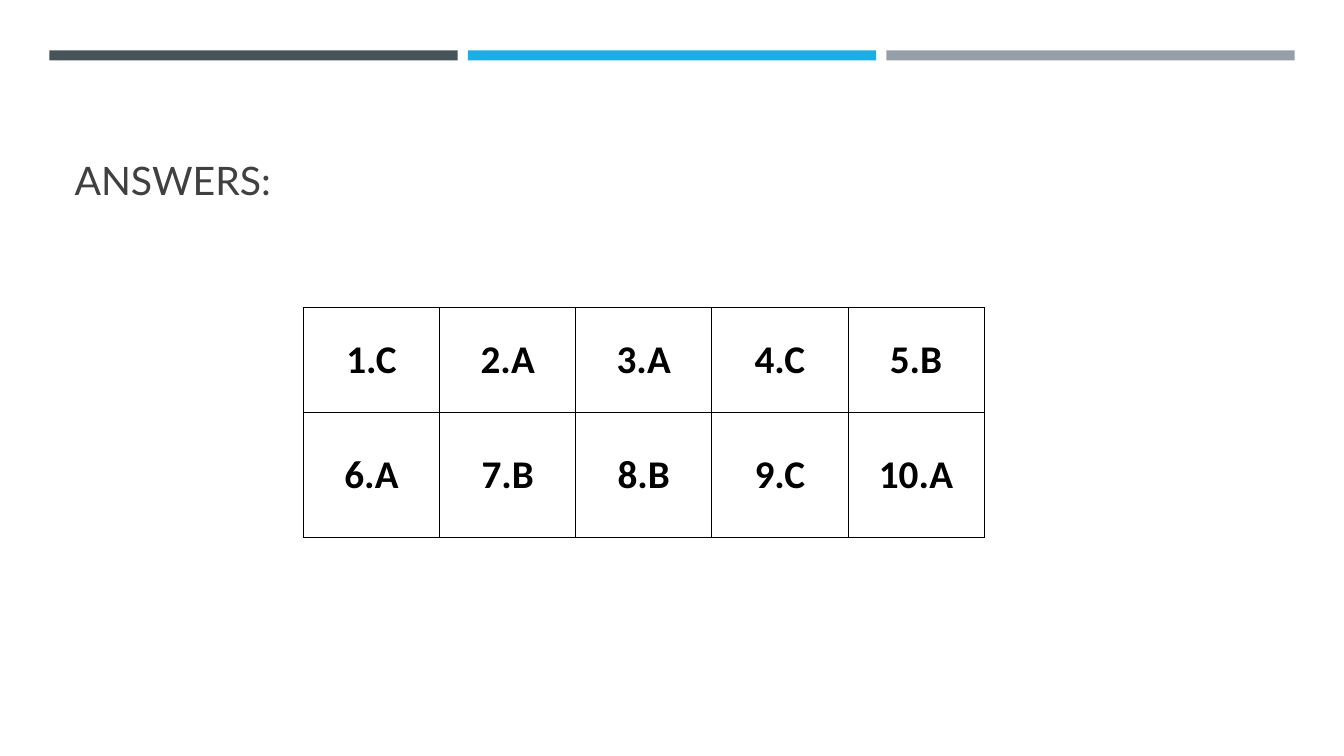
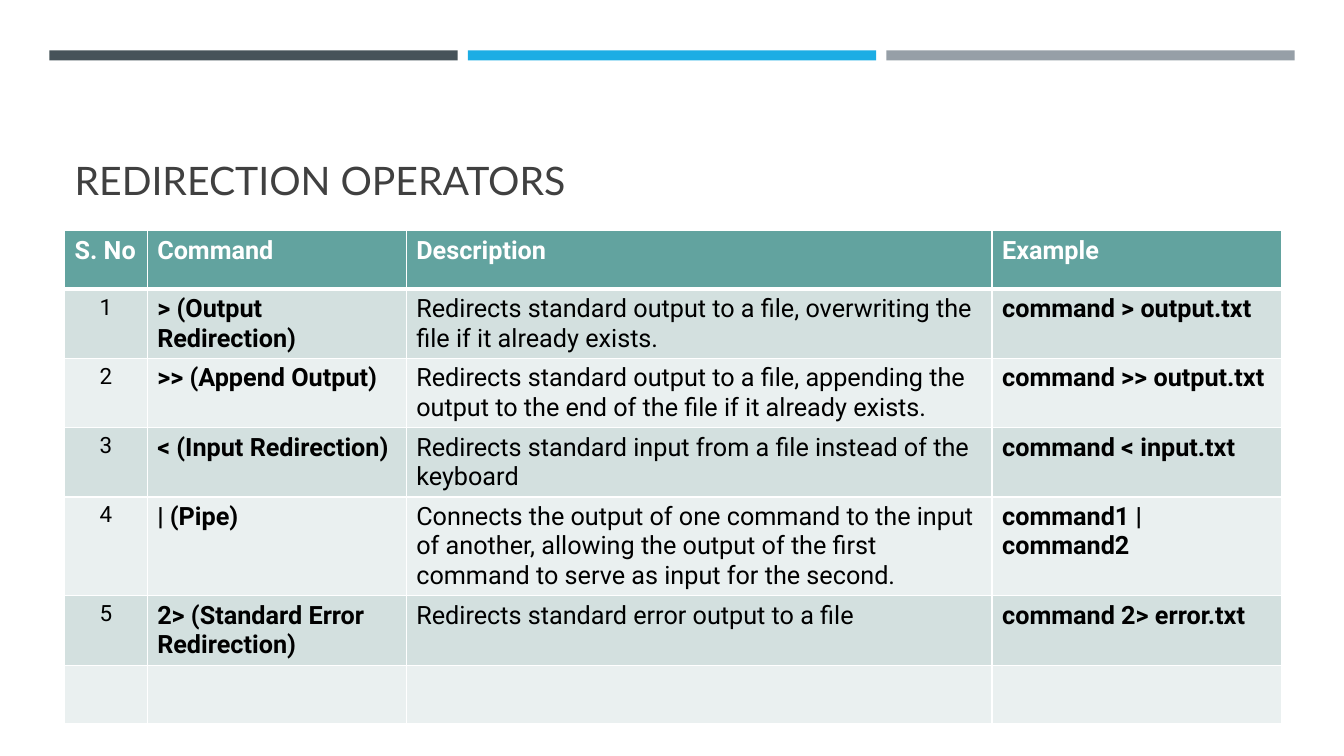
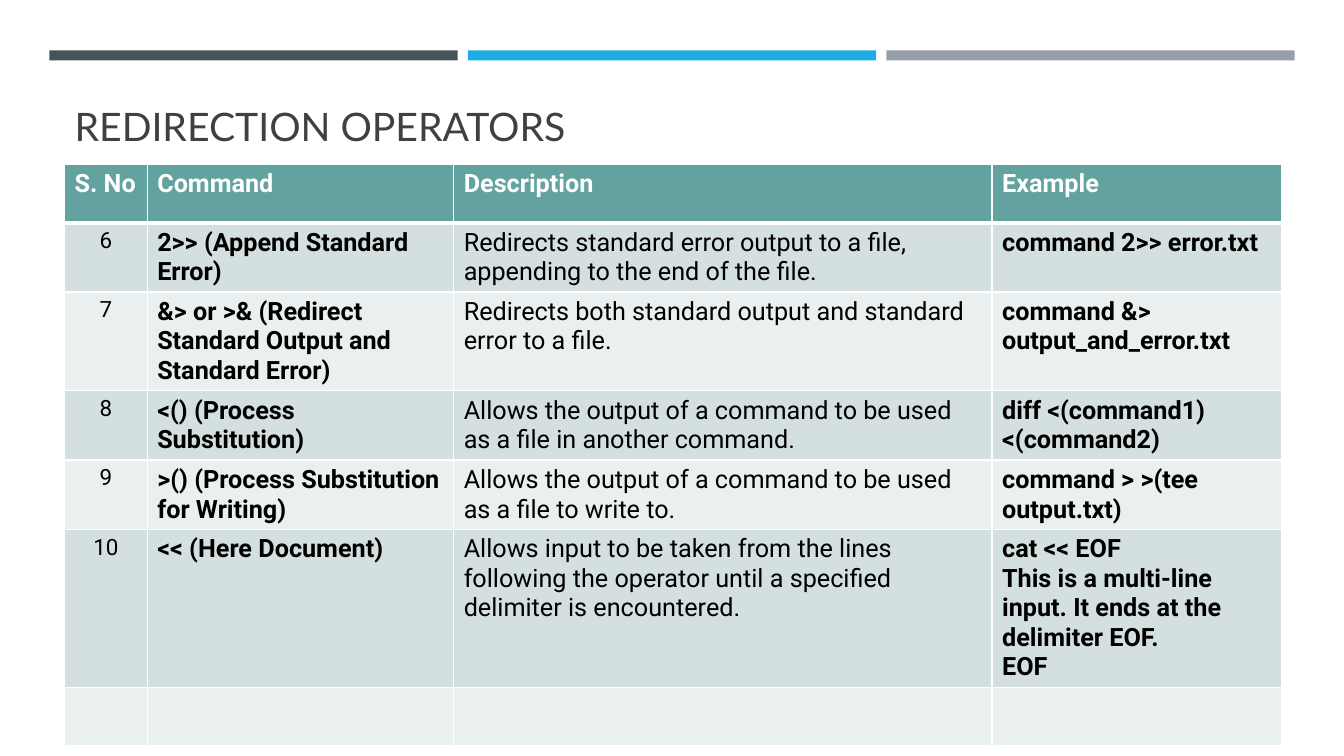
from dataclasses import dataclass

from lxml.etree import SubElement
from pptx import Presentation
from pptx.dml.color import RGBColor
from pptx.enum.shapes import MSO_SHAPE
from pptx.enum.text import MSO_ANCHOR, MSO_AUTO_SIZE, PP_ALIGN
from pptx.oxml.ns import qn
from pptx.util import Inches, Pt


@dataclass(frozen=True)
class Theme:
    bands: tuple = ("465359", "1CADE4", "969FA7")
    title: str = "404040"
    text: str = "000000"
    white: str = "FFFFFF"
    header: str = "62A39F"
    stripes: tuple = ("D3E0DF", "EAF0F0")
    title_font: str = "Lato"
    answer_font: str = "Calibri"
    table_font: str = "Roboto"
    large: int = 28
    medium: int = 18
    small: int = 16


THEME = Theme()
MARGIN, CONTENT_WIDTH = 0.64, 12.06
TITLE_TOP, TITLE_HEIGHT = 0.77, 1.3

ANSWERS = [
    ["1.C", "2.A", "3.A", "4.C", "5.B"],
    ["6.A", "7.B", "8.B", "9.C", "10.A"],
]
HEADINGS = ("S. No", "Command", "Description", "Example")
OPERATOR_PAGES = [
    {
        "title_height": TITLE_HEIGHT,
        "table_top": 2.29,
        "columns": (0.82, 2.57, 5.81, 2.87),
        "rows": [
            ("1", "> (Output Redirection)",
             "Redirects standard output to a file, overwriting the file if it already exists.",
             "command > output.txt"),
            ("2", ">> (Append Output)",
             "Redirects standard output to a file, appending the output to the end of the file "
             "if it already exists.",
             "command >> output.txt"),
            ("3", "< (Input Redirection)",
             "Redirects standard input from a file instead of the keyboard",
             "command < input.txt"),
            ("4", "| (Pipe)",
             "Connects the output of one command to the input of another, allowing the output "
             "of the first command to serve as input for the second.",
             "command1 | command2"),
            ("5", "2> (Standard Error Redirection)",
             "Redirects standard error output to a file",
             "command 2> error.txt"),
        ],
    },
    {
        "title_height": 0.76,
        "table_top": 1.63,
        "columns": (0.82, 3.04, 5.34, 2.87),
        "rows": [
            ("6", "2>> (Append Standard Error)",
             "Redirects standard error output to a file, appending to the end of the file.",
             "command 2>> error.txt"),
            ("7", "&> or >& (Redirect Standard Output and Standard Error)",
             "Redirects both standard output and standard error to a file.",
             "command &> output_and_error.txt"),
            ("8", "<() (Process Substitution)",
             "Allows the output of a command to be used as a file in another command.",
             "diff <(command1) <(command2)"),
            ("9", ">() (Process Substitution for Writing)",
             "Allows the output of a command to be used as a file to write to.",
             "command > >(tee output.txt)"),
            ("10", "<< (Here Document)",
             "Allows input to be taken from the lines following the operator until a specified "
             "delimiter is encountered.",
             "cat << EOF\nThis is a multi-line input. It ends at the delimiter EOF.\nEOF"),
        ],
    },
]


def write(frame, text, *, font, size, color=THEME.text, bold=False, align=PP_ALIGN.LEFT):
    for index, line in enumerate(text.split("\n")):
        para = frame.add_paragraph() if index else frame.paragraphs[0]
        para.alignment = align
        span = para.add_run()
        span.text = line
        span.font.name = font
        span.font.size = Pt(size)
        span.font.bold = bold
        span.font.color.rgb = RGBColor.from_string(color)


def add_bands(page, layout):
    width, gap = 4.05, 0.1
    for index, color in enumerate(THEME.bands):
        band = page.shapes.add_shape(
            MSO_SHAPE.RECTANGLE, Inches(0.49 + index * (width + gap)), Inches(0.5),
            Inches(width), Inches(0.1))
        band.name = f"Band {index + 1}"
        band.shadow.inherit = False
        band.fill.solid()
        band.fill.fore_color.rgb = RGBColor.from_string(color)
        band.line.fill.background()
        band.element.nvSpPr.cNvPr.set("id", str(101 + index))
        layout.shapes.element.append(band.element)


def add_page(deck, layout, title, height=TITLE_HEIGHT):
    page = deck.slides.add_slide(layout)
    box = page.shapes.title
    box.left, box.top = Inches(MARGIN), Inches(TITLE_TOP)
    box.width, box.height = Inches(CONTENT_WIDTH), Inches(height)
    frame = box.text_frame
    frame.vertical_anchor = MSO_ANCHOR.BOTTOM
    frame.auto_size = MSO_AUTO_SIZE.NONE
    write(frame, title, font=THEME.title_font, size=THEME.large, color=THEME.title)
    return page


def add_grid(page, left, top, columns, heights):
    holder = page.shapes.add_table(
        len(heights), len(columns), Inches(left), Inches(top),
        Inches(sum(columns)), Inches(sum(heights)))
    table = holder.table
    table.horz_banding = False
    for column, width in zip(table.columns, columns):
        column.width = Inches(width)
    for row, height in zip(table.rows, heights):
        row.height = Inches(height)
    return table


def style_cell(cell, border, width, bottom=None, top=None, fill=None):
    properties = cell._tc.get_or_add_tcPr()
    for side, points in (("L", width), ("R", width), ("T", top or width), ("B", bottom or width)):
        line = SubElement(properties, qn(f"a:ln{side}"), w=str(Pt(points)))
        SubElement(SubElement(line, qn("a:solidFill")), qn("a:srgbClr"), val=border)
    if fill:
        cell.fill.solid()
        cell.fill.fore_color.rgb = RGBColor.from_string(fill)
    else:
        cell.fill.background()


def add_answers(page):
    table = add_grid(page, 3.01, 3.05, [1.35] * 5, [1.04, 1.24])
    table.first_row = False
    for row, answers in enumerate(ANSWERS):
        for column, answer in enumerate(answers):
            cell = table.cell(row, column)
            style_cell(cell, THEME.text, 0.5)
            cell.vertical_anchor = MSO_ANCHOR.MIDDLE
            cell.margin_left = cell.margin_right = cell.margin_top = Inches(0.01)
            cell.margin_bottom = 0
            write(cell.text_frame, answer, font=THEME.answer_font, size=THEME.large,
                  bold=True, align=PP_ALIGN.CENTER)


def add_operators(page, top, columns, operators):
    rows = [HEADINGS, *operators, ("",) * len(HEADINGS)]
    heights = [0.58, 0.66] + [0.58] * (len(rows) - 2)
    table = add_grid(page, MARGIN, top, columns, heights)
    for row, texts in enumerate(rows):
        header = row == 0
        fill = THEME.header if header else THEME.stripes[(row - 1) % 2]
        for column, text in enumerate(texts):
            cell = table.cell(row, column)
            style_cell(cell, THEME.white, 1, bottom=3 if header else 1,
                       top=3 if row == 1 else 1, fill=fill)
            if not text:
                continue
            number = column == 0 and not header
            write(cell.text_frame, text, font=THEME.table_font,
                  size=THEME.small if number else THEME.medium,
                  color=THEME.white if header else THEME.text,
                  bold=header or column in (1, 3),
                  align=PP_ALIGN.CENTER if number else PP_ALIGN.LEFT)


def main():
    deck = Presentation()
    deck.slide_width, deck.slide_height = Inches(13.33), Inches(7.5)
    layout = deck.slide_layouts.get_by_name("Title Only")
    answers_page = add_page(deck, layout, "ANSWERS:")
    add_bands(answers_page, layout)
    add_answers(answers_page)
    for content in OPERATOR_PAGES:
        page = add_page(deck, layout, "REDIRECTION OPERATORS", content["title_height"])
        add_operators(page, content["table_top"], content["columns"], content["rows"])
    deck.save("out.pptx")


if __name__ == "__main__":
    main()
